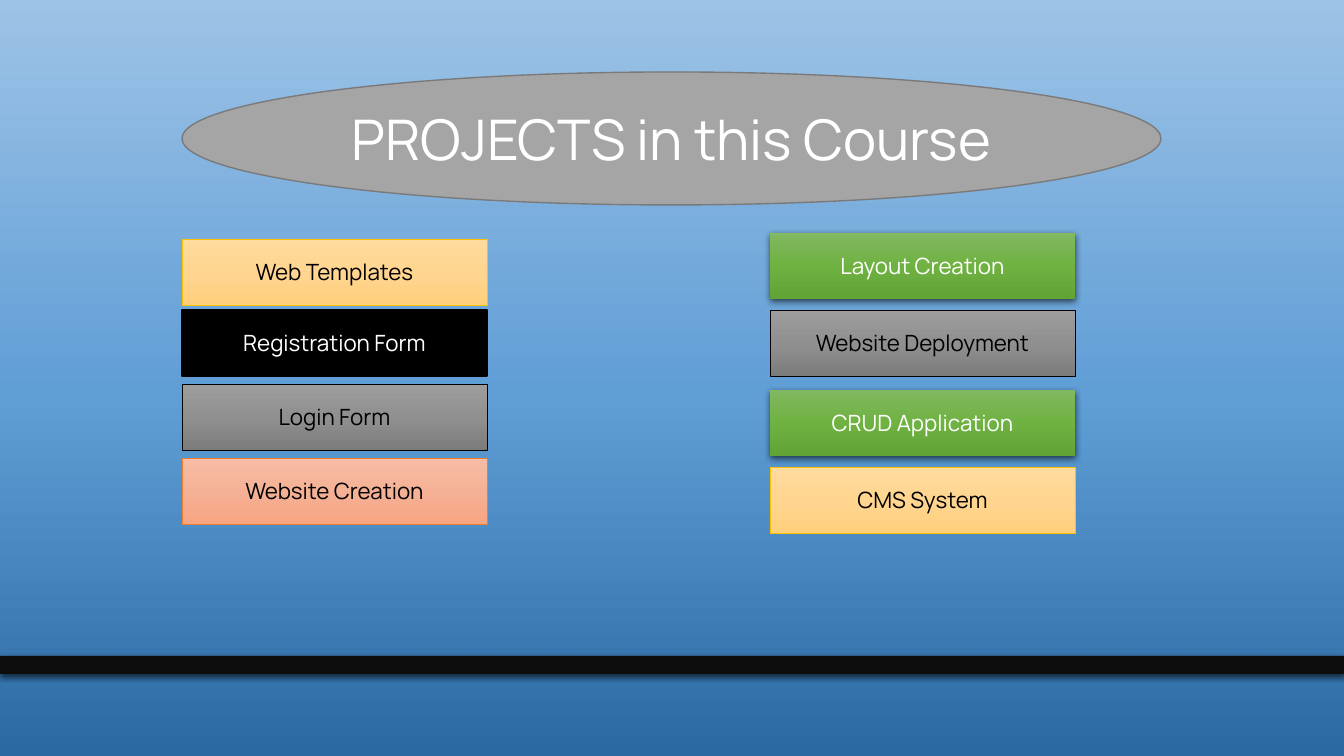
"""Build a slide that lists the projects of a web course."""
from lxml import etree
from pptx import Presentation
from pptx.dml.color import RGBColor
from pptx.enum.shapes import MSO_SHAPE
from pptx.enum.text import MSO_ANCHOR, PP_ALIGN
from pptx.oxml.ns import qn
from pptx.util import Pt

RECTANGLE, OVAL = MSO_SHAPE.RECTANGLE, MSO_SHAPE.OVAL
MIDDLE, CENTER = MSO_ANCHOR.MIDDLE, PP_ALIGN.CENTER

TITLE = "PROJECTS in this Course"
FONT = "Manrope"
COLORS = {
    "white": "FFFFFF", "black": "000000", "band": "0D0D0D",
    "oval": "A5A5A5", "oval line": "7A7A7A",
    "gold line": "FFC000", "orange line": "ED7D31",
}
BACKGROUND = [(0, "2A69A2"), (48, "609ED6"), (100, "9DC3E6")]
GRADIENTS = {
    "gold": [(0, "FFDB9E"), (50, "FFD590"), (100, "FFD07C")],
    "gray": [(0, "9D9D9D"), (50, "909090"), (100, "7C7C7C")],
    "orange": [(0, "F7BDA5"), (50, "F5B196"), (100, "F8A582")],
    "green": [(0, "81B861"), (50, "6FB242"), (100, "62A336")],
}
STYLES = {
    "gold": ("gold line", 0.5, "black"),
    "black": ("black", 1, "white"),
    "gray": ("black", 0.5, "black"),
    "orange": ("orange line", 0.5, "black"),
    "green": (None, 0, "white"),
}
COLUMNS = {
    182: [(239, "Web Templates", "gold"), (310, "Registration Form", "black"),
          (384, "Login Form", "gray"), (458, "Website Creation", "orange")],
    770: [(233, "Layout Creation", "green"), (310, "Website Deployment", "gray"),
          (390, "CRUD Application", "green"), (467, "CMS System", "gold")],
}
PAGE_WIDTH, PAGE_HEIGHT = 1344, 756
BOX_WIDTH, BOX_HEIGHT = 305, 66
BAND_AREA = (0, 656, PAGE_WIDTH, 18)
TITLE_AREA = (182, 72, 979, 133)
SCALE = 914400 / 100.8


def px(length):
    return round(length * SCALE)


def color(name):
    return RGBColor.from_string(COLORS[name])


def set_gradient(fill, owner, stops, angle):
    fill.gradient()
    fill.gradient_angle = angle
    stop_list = owner.find(".//" + qn("a:gsLst"))
    for old_stop in list(stop_list):
        stop_list.remove(old_stop)
    for position, value in stops:
        stop = etree.SubElement(stop_list, qn("a:gs"), pos=str(position * 1000))
        etree.SubElement(stop, qn("a:srgbClr"), val=value)


def add_shadow(shape):
    effects = shape.element.spPr.find(qn("a:effectLst"))
    shadow = etree.SubElement(
        effects, qn("a:outerShdw"), blurRad=str(Pt(4.5)), dist=str(Pt(1.5)),
        dir="5400000", algn="ctr", rotWithShape="0")
    tint = etree.SubElement(shadow, qn("a:srgbClr"), val=COLORS["black"])
    etree.SubElement(tint, qn("a:alpha"), val="63000")


def add_figure(page, kind, area, fill, line=None, width=0):
    shape = page.shapes.add_shape(kind, *map(px, area))
    if fill in GRADIENTS:
        set_gradient(shape.fill, shape.element, GRADIENTS[fill], 270)
    else:
        shape.fill.solid()
        shape.fill.fore_color.rgb = color(fill)
    if line:
        shape.line.color.rgb = color(line)
        shape.line.width = Pt(width)
    else:
        shape.line.fill.background()
    shape.shadow.inherit = False
    return shape


def write(shape, text, size, ink):
    frame = shape.text_frame
    frame.text = text
    frame.word_wrap = True
    frame.vertical_anchor = MIDDLE
    para = frame.paragraphs[0]
    para.alignment = CENTER
    para.font.name = FONT
    para.font.size = Pt(size)
    para.font.color.rgb = color(ink)


def add_title(page):
    add_figure(page, OVAL, TITLE_AREA, "oval", "oval line", 1)
    title = page.shapes.title
    title.left, title.top, title.width, title.height = map(px, TITLE_AREA)
    write(title, TITLE, 40, "white")
    page.shapes.element.append(title.element)


def main():
    deck = Presentation()
    deck.slide_width, deck.slide_height = px(PAGE_WIDTH), px(PAGE_HEIGHT)
    page = deck.slides.add_slide(deck.slide_layouts.get_by_name("Title Only"))
    set_gradient(page.background.fill, page.element, BACKGROUND, 90)
    add_shadow(add_figure(page, RECTANGLE, BAND_AREA, "band"))
    add_title(page)
    for left, projects in COLUMNS.items():
        for top, name, style in projects:
            line, width, ink = STYLES[style]
            area = (left, top, BOX_WIDTH, BOX_HEIGHT)
            box = add_figure(page, RECTANGLE, area, style, line, width)
            write(box, name, 16, ink)
            if style == "green":
                add_shadow(box)
    deck.save("out.pptx")


if __name__ == "__main__":
    main()
